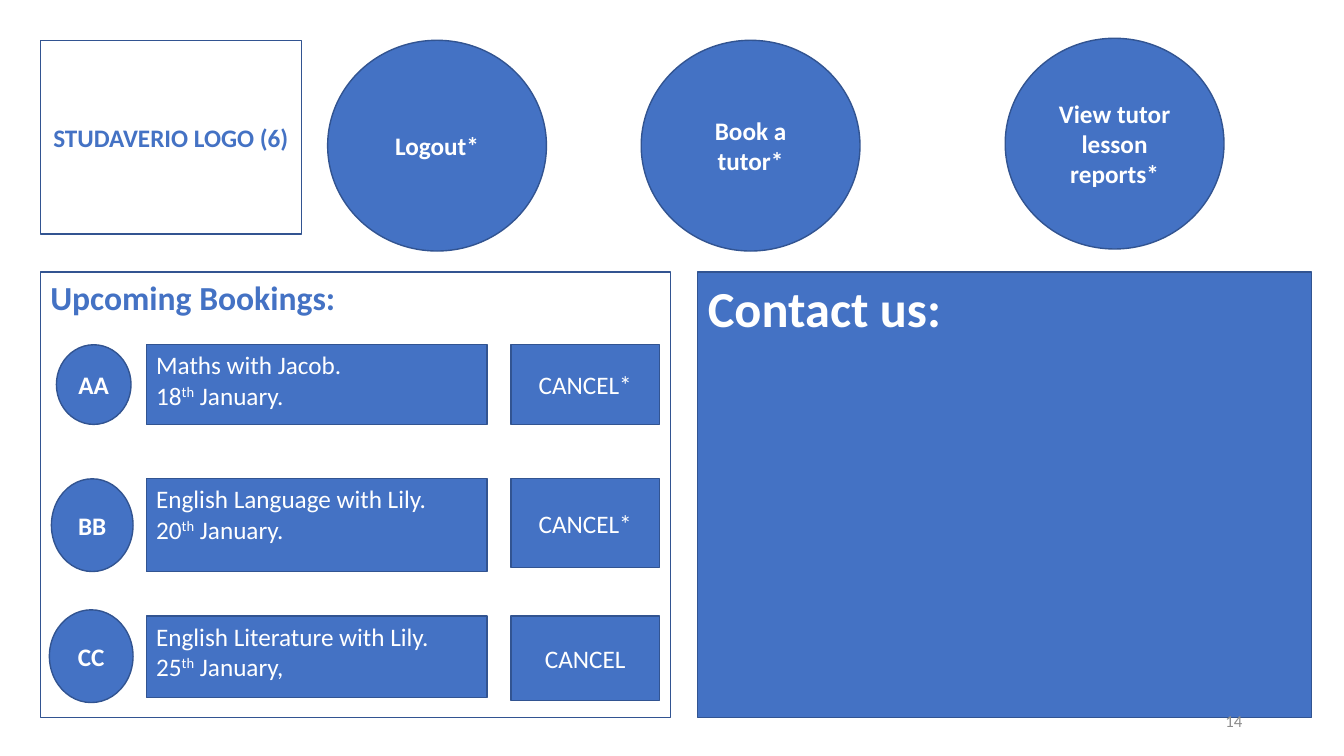
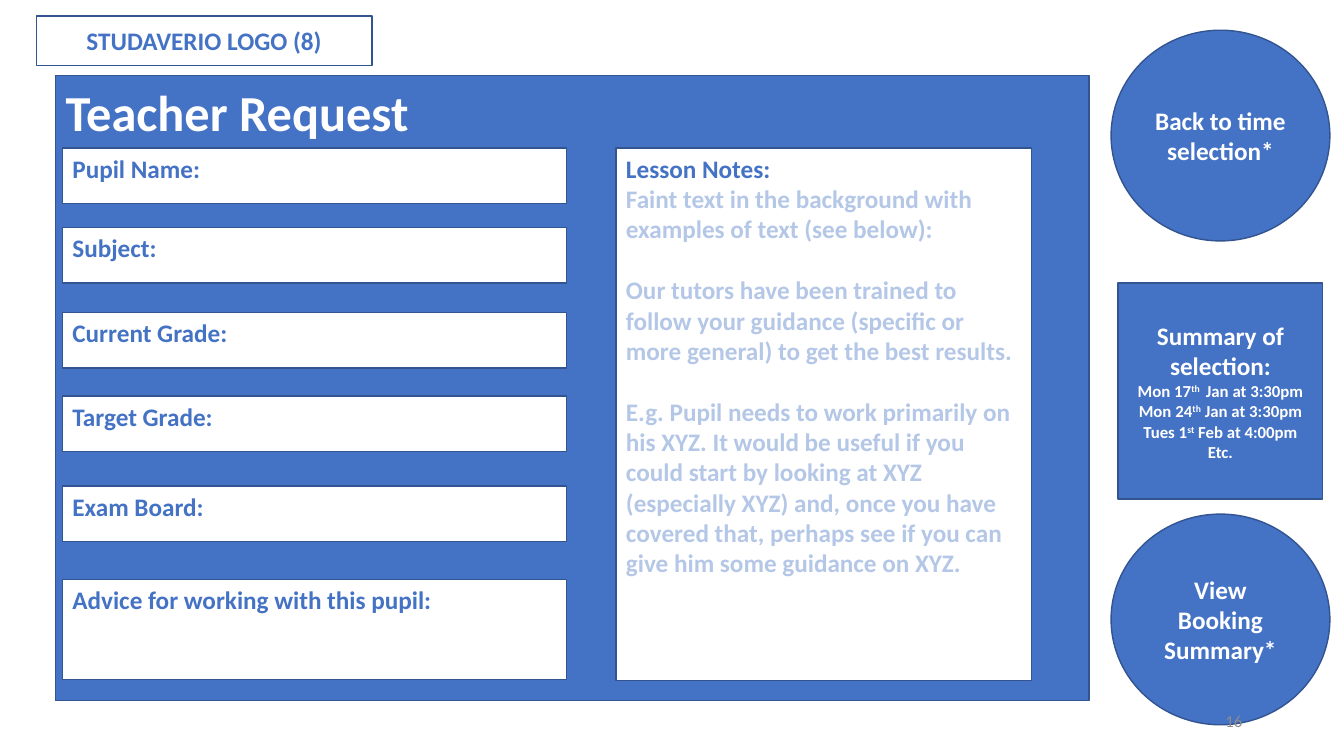
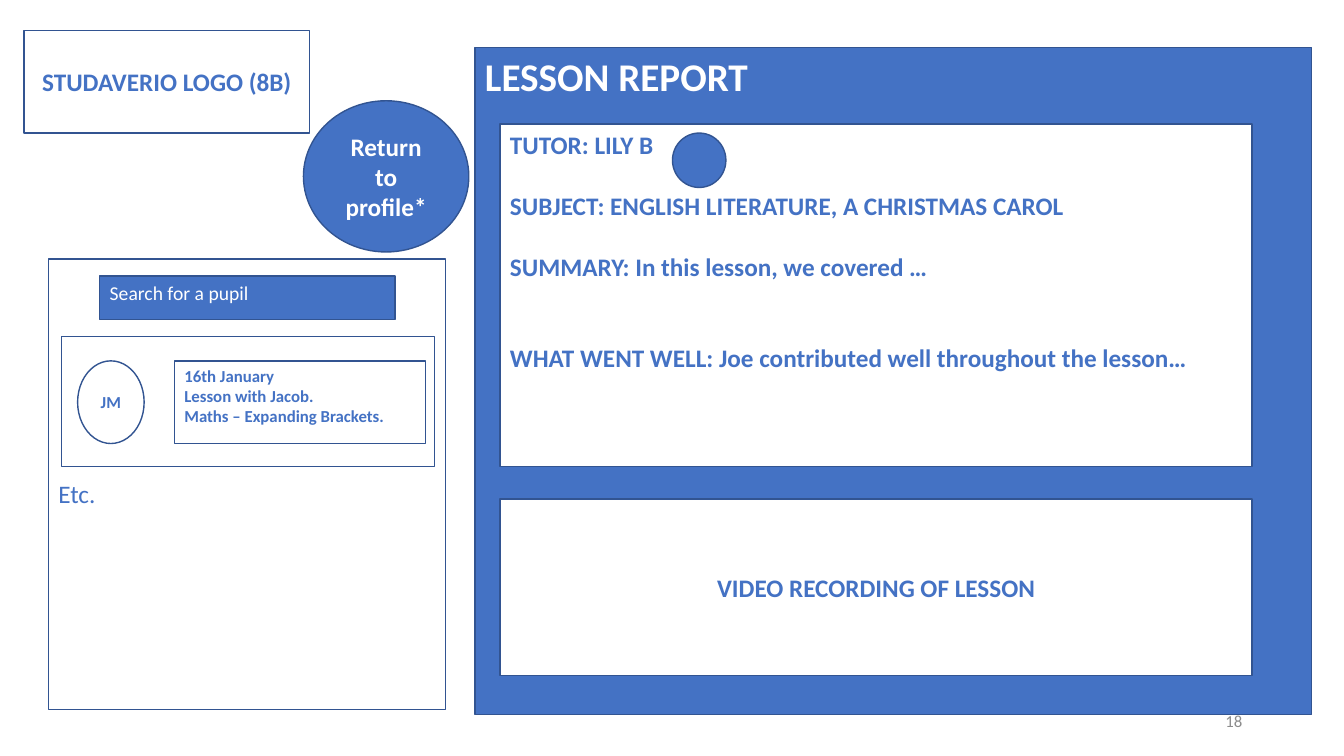
"""Build three wireframe slides for a tutoring site: bookings, teacher request and lesson report."""
from pptx import Presentation
from pptx.dml.color import RGBColor
from pptx.enum.shapes import MSO_SHAPE
from pptx.enum.text import MSO_ANCHOR, MSO_AUTO_SIZE, PP_ALIGN
from pptx.util import Inches, Pt

COLORS = {"blue": "4472C4", "edge": "325491", "white": "FFFFFF", "faint": "B4C7E7", "grey": "8C8C8C"}
SOLID = {"fill": "blue", "color": "white"}
CLEAR = {"fill": "white", "color": "blue"}
PLAIN = {"fill": None, "color": "grey"}
CENTER = {"anchor": MSO_ANCHOR.MIDDLE, "align": PP_ALIGN.CENTER}
TOP_LEFT = {"anchor": MSO_ANCHOR.TOP, "align": PP_ALIGN.LEFT}
RIGHT = {"anchor": MSO_ANCHOR.MIDDLE, "align": PP_ALIGN.RIGHT}
RECT, OVAL = MSO_SHAPE.RECTANGLE, MSO_SHAPE.OVAL
LOGO = "STUDAVERIO LOGO"
LINE = 22


def rgb(name):
    return RGBColor.from_string(COLORS[name])


def add_box(s, at, paras=(), look=SOLID, place=CENTER, kind=RECT, sp=None, size=18, bold=True, top=0.05):
    """Format a shape; each paragraph is (text, overrides) and ^marks^ enclose superscripts."""
    at = [Inches(v) for v in at]
    if sp is None:
        sp = s.shapes.add_shape(kind, *at)
        sp.shadow.inherit = False
    sp.left, sp.top, sp.width, sp.height = at
    if look["fill"]:
        sp.fill.solid()
        sp.fill.fore_color.rgb = rgb(look["fill"])
        sp.line.color.rgb = rgb("edge")
        sp.line.width = Pt(1)
    tf = sp.text_frame
    frame = {"word_wrap": True, "auto_size": MSO_AUTO_SIZE.NONE, "vertical_anchor": place["anchor"],
             "margin_left": Inches(0.1), "margin_right": Inches(0.1),
             "margin_top": Inches(top), "margin_bottom": Inches(0.05)}
    for key, value in frame.items():
        setattr(tf, key, value)
    for i, (text, extra) in enumerate(paras):
        fmt = {"size": size, "color": look["color"], "before": 0, **extra}
        p = tf.add_paragraph() if i else tf.paragraphs[0]
        p.alignment = place["align"]
        p.space_before = Pt(fmt["before"])
        for j, part in enumerate(text.split("^")):
            r = p.add_run()
            r.text = part
            for key, value in {"name": "Calibri", "size": Pt(fmt["size"]), "bold": bold}.items():
                setattr(r.font, key, value)
            r.font.color.rgb = rgb(fmt["color"])
            if j % 2:
                r._r.get_or_add_rPr().set("baseline", "30000")


prs = Presentation()
prs.slide_width, prs.slide_height = Inches(13.33), Inches(7.5)
layout = prs.slide_layouts[5]
bookings, request, report = [prs.slides.add_slide(layout) for _ in range(3)]

PAGES = [
    (bookings, "14", "Contact us:", 36, (6.92, 2.7, 6.09, 4.42), "(6)", (0.4, 0.4, 2.59, 1.92)),
    (request, "16", "Teacher Request", 36, (0.55, 0.75, 10.25, 6.2), "(8)", (0.36, 0.16, 3.33, 0.49)),
    (report, "18", "LESSON REPORT", 28, (4.71, 0.47, 8.3, 6.62), "(8B)", (0.24, 0.3, 2.83, 1.02)),
]
for s, number, title, size, panel, code, logo in PAGES:
    add_box(s, panel, [(title, {})], place=TOP_LEFT, sp=s.shapes.title, size=size)
    add_box(s, logo, [(f"{LOGO} {code}", {})], CLEAR)

BUTTONS = [
    (bookings, "Logout*", (3.25, 0.4, 2.17, 2.09)),
    (bookings, "Book a tutor*", (6.36, 0.4, 2.17, 2.09)),
    (bookings, "View tutor lesson reports*", (9.97, 0.38, 2.17, 2.09)),
    (request, "Back to time selection*", (11.02, 0.3, 2.17, 2.09)),
    (request, "View Booking Summary*", (11.02, 5.1, 2.17, 2.09)),
    (report, "Return to profile*", (3.01, 1, 1.64, 1.5)),
]
for s, label, at in BUTTONS:
    add_box(s, at, [(label, {})], kind=OVAL)

s = bookings
add_box(s, (0.4, 2.7, 6.25, 4.42), [("Upcoming Bookings:", {})], CLEAR, TOP_LEFT, size=24)
ROWS = [
    ("AA", (0.56, 3.42, 0.74, 0.79), "Maths with Jacob.", "18^th^ January.", 3.42, 0.79, "CANCEL*", 0.79),
    ("BB", (0.51, 4.75, 0.81, 0.92), "English Language with Lily.", "20^th^ January.", 4.75, 0.92, "CANCEL*", 0.88),
    ("CC", (0.49, 6.05, 0.83, 0.92), "English Literature with Lily.", "25^th^ January,", 6.11, 0.81, "CANCEL", 0.84),
]
for initials, badge, lesson, date, y, h, action, action_h in ROWS:
    add_box(s, badge, [(initials, {})], kind=OVAL)
    add_box(s, (1.45, y, 3.38, h), [(lesson, {}), (date, {})], place=TOP_LEFT, bold=False)
    add_box(s, (5.07, y, 1.47, action_h), [(action, {})], bold=False)

s = request
FIELDS = [("Pupil Name:", 1.47, 0.55), ("Subject:", 2.26, 0.55), ("Current Grade:", 3.1, 0.55),
          ("Target Grade:", 3.93, 0.55), ("Exam Board:", 4.82, 0.55),
          ("Advice for working with this pupil:", 5.75, 0.99)]
for label, y, h in FIELDS:
    add_box(s, (0.62, y, 5, h), [(label, {})], CLEAR, TOP_LEFT)
faint = {"color": "faint"}
gap = {"before": LINE}
notes = [
    ("Lesson Notes:", {}),
    ("Faint text in the background with examples of text (see below):", faint),
    ("Our tutors have been trained to follow your guidance (specific or more general) "
     "to get the best results.", faint | gap),
    ("E.g. Pupil needs to work primarily on his XYZ. It would be useful if you could start by looking "
     "at XYZ (especially XYZ) and, once you have covered that, perhaps see if you can give him some "
     "guidance on XYZ.", faint | gap),
]
add_box(s, (6.11, 1.47, 4.12, 5.28), notes, CLEAR, TOP_LEFT)
slots = ["Mon 17^th ^ Jan at 3:30pm", "Mon 24^th^ Jan at 3:30pm", "Tues 1^st^ Feb at 4:00pm", "Etc."]
summary = [("Summary of selection:", {"size": 18})] + [(slot, {}) for slot in slots]
add_box(s, (11.09, 2.81, 2.03, 2.14), summary, size=12)

s = report
add_box(s, (0.48, 2.57, 3.94, 4.47), [("Etc.", {})], CLEAR, TOP_LEFT, bold=False, top=2.18)
add_box(s, (0.99, 2.74, 2.93, 0.43), [("Search for a pupil", {})], place=TOP_LEFT, size=14, bold=False)
add_box(s, (0.61, 3.34, 3.7, 1.29), look=CLEAR)
add_box(s, (0.77, 3.58, 0.66, 0.82), [("JM", {})], CLEAR, kind=OVAL, size=12)
lesson = ["16th January", "Lesson with Jacob.", "Maths – Expanding Brackets."]
add_box(s, (1.73, 3.58, 2.49, 0.82), [(text, {}) for text in lesson], CLEAR, TOP_LEFT, size=12)
details = [
    ("TUTOR: LILY B", {}),
    ("SUBJECT: ENGLISH LITERATURE, A CHRISTMAS CAROL", gap),
    ("SUMMARY: In this lesson, we covered …", gap),
    ("WHAT WENT WELL: Joe contributed well throughout the lesson…", {"before": 2 * LINE}),
]
add_box(s, (4.96, 1.23, 7.46, 3.4), details, CLEAR, TOP_LEFT)
add_box(s, (6.67, 1.32, 0.53, 0.54), kind=OVAL)
add_box(s, (4.96, 4.95, 7.46, 1.75), [("VIDEO RECORDING OF LESSON", {})], CLEAR)

for s, number, *_ in PAGES:
    at = (9.42, 6.95, 3, 0.4)
    sp = s.shapes.add_textbox(*[Inches(v) for v in at])
    add_box(s, at, [(number, {})], PLAIN, RIGHT, sp=sp, size=12, bold=False)

prs.save("out.pptx")
